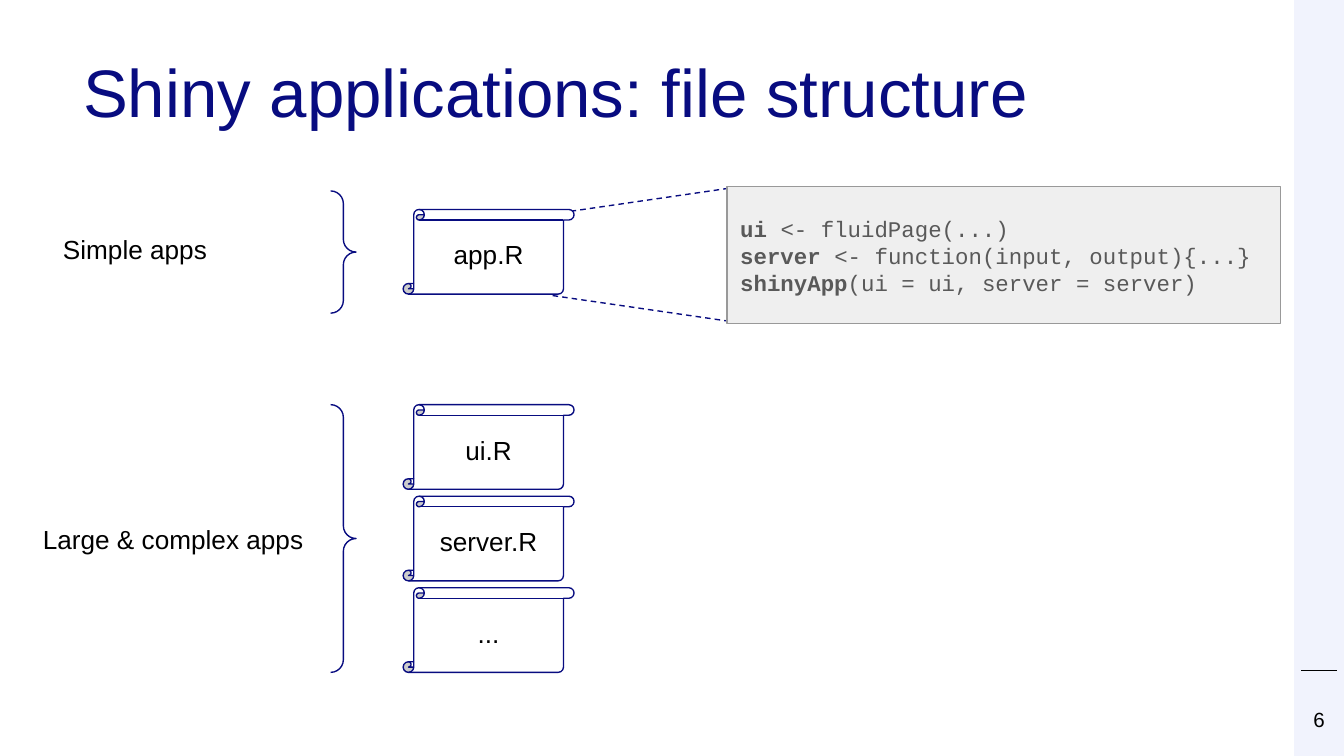
from pptx import Presentation
from pptx.dml.color import RGBColor
from pptx.enum.dml import MSO_LINE
from pptx.enum.shapes import MSO_CONNECTOR, MSO_SHAPE
from pptx.enum.text import MSO_ANCHOR, MSO_AUTO_SIZE, PP_ALIGN
from pptx.oxml.ns import qn
from pptx.util import Cm, Pt
from lxml.etree import SubElement

THEME = {
    "navy": "080C80", "black": "000000", "white": "FFFFFF", "panel": "F1F3FD",
    "code": "595959", "box": "EFEFEF", "edge": "999999",
    "sans": "Arial", "mono": "Courier New",
    "title": 36, "body": 14, "small": 12, "page": 11, "rule": 0.75,
}

TITLE = "Shiny applications: file structure"
PAGE = "6"
# label, its place, top of the brace, height of the brace, top of first file, files
GROUPS = [
    ("Simple apps", (0.94, 4.17, 4.24, 1.07), 3.61, 2.31, 3.96, ["app.R"]),
    ("Large & complex apps", (0.56, 9.65, 6.55, 1.73), 7.65, 5.06, 7.65,
     ["ui.R", "server.R", "..."]),
]
# bold start and plain rest of each line
CODE = [
    ("ui ", "<- fluidPage(...)"),
    ("server ", "<- function(input, output){...}"),
    ("shinyApp", "(ui = ui, server = server)"),
]

WIDE, HIGH = 25.4, 14.29
SIDE = 0.94
BRACE_X, BRACE_W = 6.25, 0.48
FILE_X, FILE_W, FILE_H, STEP = 7.62, 3.23, 1.6, 1.73
PAD = 0.25


def color(name):
    return RGBColor.from_string(THEME[name])


def write(shape, lines, size="body", font="sans", ink="black", pad=PAD,
          align=PP_ALIGN.LEFT, anchor=MSO_ANCHOR.TOP, space=1.0):
    """Fill a shape with lines, each a list of (text, bold) runs."""
    frame = shape.text_frame
    form = {"word_wrap": True, "auto_size": MSO_AUTO_SIZE.NONE,
            "vertical_anchor": anchor}
    form.update({f"margin_{edge}": Cm(pad)
                 for edge in ("left", "top", "right", "bottom")})
    for key, value in form.items():
        setattr(frame, key, value)
    for i, line in enumerate(lines):
        para = frame.add_paragraph() if i else frame.paragraphs[0]
        para.alignment, para.line_spacing = align, space
        for text, bold in line:
            run = para.add_run()
            run.text = text
            look = {"name": THEME[font], "size": Pt(THEME[size]), "bold": bold}
            for key, value in look.items():
                setattr(run.font, key, value)
            run.font.color.rgb = color(ink)


def draw(slide, kind, place, fill=None, line=None):
    shape = slide.shapes.add_shape(kind, *map(Cm, place))
    shape.shadow.inherit = False
    if fill:
        shape.fill.solid()
        shape.fill.fore_color.rgb = color(fill)
    else:
        shape.fill.background()
    if line:
        shape.line.color.rgb = color(line)
        shape.line.width = Pt(THEME["rule"])
    else:
        shape.line.fill.background()
    return shape


def label(slide, text, place, **form):
    write(slide.shapes.add_textbox(*map(Cm, place)), [[(text, False)]], **form)


def add_side(slide):
    """Draw the side panel with its rule and page number."""
    left = WIDE - SIDE
    draw(slide, MSO_SHAPE.RECTANGLE, (left, 0, SIDE, HIGH), "panel")
    rule = slide.shapes.add_connector(
        MSO_CONNECTOR.STRAIGHT, Cm(left + 0.13), Cm(12.67),
        Cm(WIDE - 0.13), Cm(12.67))
    rule.line.color.rgb = color("black")
    rule.line.width = Pt(THEME["rule"])
    SubElement(rule._element.spPr, qn("a:effectLst"))
    label(slide, PAGE, (left, 13.36, SIDE, 0.38), size="page", pad=0,
          align=PP_ALIGN.CENTER)


def add_title(slide):
    title = slide.shapes.title
    place = {"left": 1.57, "top": 1.12, "width": 21.92, "height": 1.96}
    for key, value in place.items():
        setattr(title, key, Cm(value))
    write(title, [[(TITLE, False)]], "title", ink="navy", pad=0, space=0.9)


def add_group(slide, name, place, top, tall, first, files):
    label(slide, name, place)
    brace = draw(slide, MSO_SHAPE.RIGHT_BRACE, (BRACE_X, top, BRACE_W, tall),
                 line="navy")
    brace.adjustments[0] = brace.adjustments[1] = 0.5
    for i, file in enumerate(files):
        scroll = draw(slide, MSO_SHAPE.VERTICAL_SCROLL,
                      (FILE_X, first + i * STEP, FILE_W, FILE_H),
                      "white", "navy")
        write(scroll, [[(file, False)]], align=PP_ALIGN.CENTER,
              anchor=MSO_ANCHOR.MIDDLE)


def add_zoom(slide):
    """Draw the dashed beam that spreads from the file to its code."""
    beam = draw(slide, MSO_SHAPE.TRAPEZOID, (10.92, 3.05, 2.57, 3.53),
                "white", "navy")
    beam.rotation = 270
    beam.adjustments[0] = 0.2
    beam.line.dash_style = MSO_LINE.DASH


def add_code(slide):
    box = draw(slide, MSO_SHAPE.RECTANGLE, (13.74, 3.53, 10.46, 2.59),
               "box", "edge")
    lines = [[(head, True), (rest, False)] for head, rest in CODE]
    write(box, lines, "small", "mono", "code", anchor=MSO_ANCHOR.MIDDLE)


def main():
    deck = Presentation()
    deck.slide_width, deck.slide_height = Cm(WIDE), Cm(HIGH)
    slide = deck.slides.add_slide(deck.slide_layouts[5])
    add_side(slide)
    add_title(slide)
    add_zoom(slide)
    for group in GROUPS:
        add_group(slide, *group)
    add_code(slide)
    deck.save("out.pptx")


if __name__ == "__main__":
    main()
